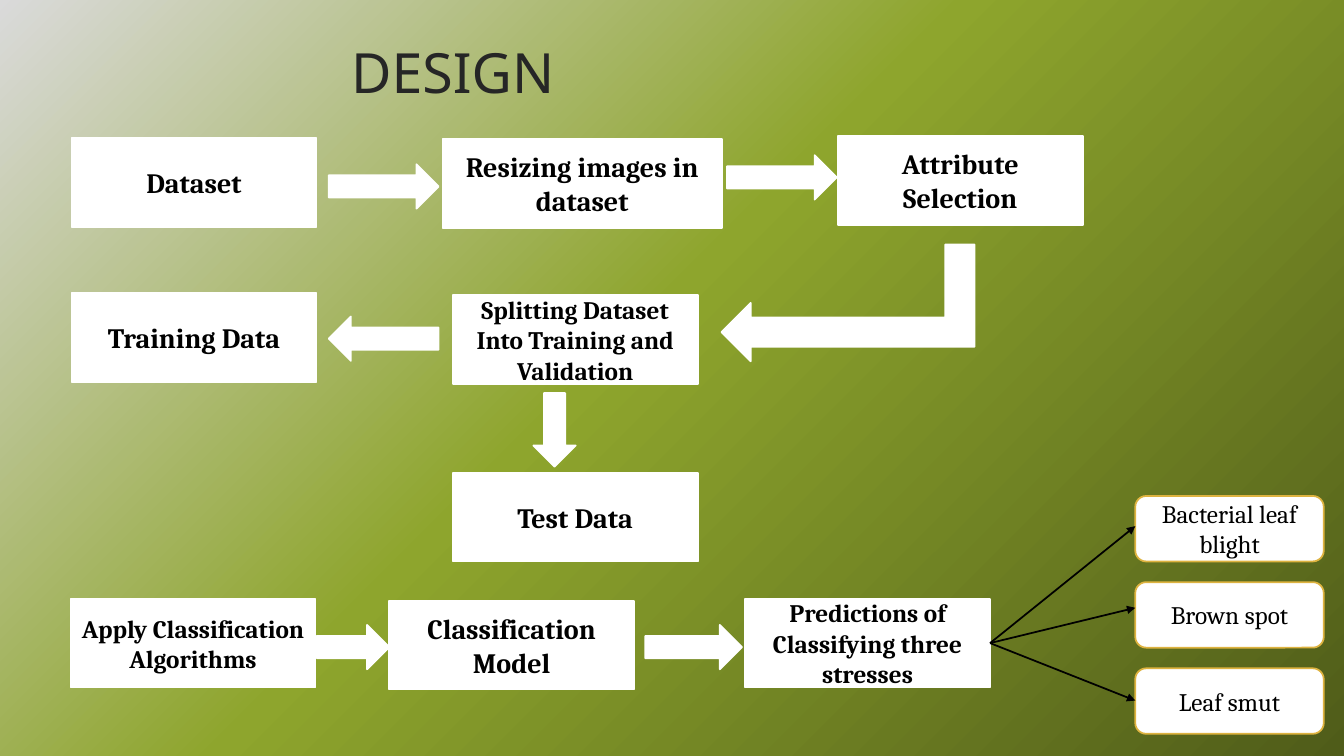
from lxml import etree
from pptx import Presentation
from pptx.dml.color import RGBColor
from pptx.enum.shapes import MSO_CONNECTOR, MSO_SHAPE
from pptx.enum.text import MSO_ANCHOR, PP_ALIGN
from pptx.oxml.ns import qn
from pptx.util import Inches, Pt

RECTANGLE = MSO_SHAPE.RECTANGLE
ROUNDED = MSO_SHAPE.ROUNDED_RECTANGLE
RIGHT, LEFT = MSO_SHAPE.RIGHT_ARROW, MSO_SHAPE.LEFT_ARROW
DOWN, BENT = MSO_SHAPE.DOWN_ARROW, MSO_SHAPE.BENT_UP_ARROW
STRAIGHT = MSO_CONNECTOR.STRAIGHT
CENTER, MIDDLE = PP_ALIGN.CENTER, MSO_ANCHOR.MIDDLE

WHITE = RGBColor(0xFF, 0xFF, 0xFF)
BLACK = RGBColor(0x00, 0x00, 0x00)
CHARCOAL = RGBColor(0x26, 0x26, 0x26)
GOLD = RGBColor(0xDE, 0xB3, 0x40)

# Content
TITLE = "DESIGN"
BACKGROUND_STOPS = [(0, "DADADA"), (46, "8EA52D"), (100, "4F5C19")]
BOX_WIDTH, BOX_HEIGHT = 2.43, 0.88
STEPS = [  # text, left, top, width, font size
    ("Dataset", 0.71, 1.37, BOX_WIDTH, 20),
    ("Resizing images in dataset", 4.39, 1.38, 2.77, 20),
    ("Attribute Selection", 8.31, 1.35, BOX_WIDTH, 20),
    ("Training Data", 0.71, 2.91, BOX_WIDTH, 20),
    ("Splitting Dataset\nInto Training and Validation", 4.49, 2.93, BOX_WIDTH, 18),
    ("Test Data", 4.49, 4.69, BOX_WIDTH, 20),
    ("Apply Classification Algorithms", 0.7, 5.94, BOX_WIDTH, 18),
    ("Classification Model", 3.86, 5.96, BOX_WIDTH, 20),
    ("Predictions of Classifying three stresses", 7.39, 5.94, BOX_WIDTH, 18),
]
BLOCK_ARROWS = [  # preset, left, top, width, height
    (RIGHT, 3.26, 1.63, 1.09, 0.44),
    (RIGHT, 7.21, 1.54, 1.09, 0.44),
    (LEFT, 3.26, 3.14, 1.09, 0.44),
    (DOWN, 5.29, 3.9, 0.42, 0.73),
    (RIGHT, 3.14, 6.2, 0.72, 0.44),
    (RIGHT, 6.4, 6.2, 0.96, 0.44),
]
BENT_ARROW = (BENT, 7.83, 1.75, 1.16, 2.51)
STRESSES = [  # text, height at which its arrow ends
    ("Bacterial leaf blight", 5.22),
    ("Brown spot", 6.03),
    ("Leaf smut", 6.95),
]
STRESS_LEFT, STRESS_TOP, STRESS_PITCH = 11.26, 4.92, 0.855
STRESS_WIDTH, STRESS_HEIGHT = 1.87, 0.65
FAN_START = (9.82, 6.38)


def write_text(shape, text, size, font="Cambria", color=BLACK, bold=False):
    frame = shape.text_frame
    frame.word_wrap = True
    frame.vertical_anchor = MIDDLE
    frame.text = text
    for paragraph in frame.paragraphs:
        paragraph.alignment = CENTER
        run_font = paragraph.runs[0].font
        run_font.name, run_font.size, run_font.bold = font, Pt(size), bold
        run_font.color.rgb = color


def add_block(slide, preset, left, top, width, height, outline=WHITE):
    shape = slide.shapes.add_shape(
        preset, Inches(left), Inches(top), Inches(width), Inches(height))
    shape.shadow.inherit = False
    shape.fill.solid()
    shape.fill.fore_color.rgb = WHITE
    shape.line.color.rgb = outline
    shape.line.width = Pt(1.25)
    return shape


def add_thin_arrow(slide, start, end):
    connector = slide.shapes.add_connector(
        STRAIGHT, *(Inches(value) for value in start + end))
    connector.line.color.rgb = BLACK
    connector.line.width = Pt(1.25)
    properties = connector.element.spPr
    line = properties.find(qn("a:ln"))
    etree.SubElement(line, qn("a:tailEnd"), type="triangle")
    etree.SubElement(properties, qn("a:effectLst"))


def paint_background(slide):
    fill = slide.background.fill
    fill.gradient()
    fill.gradient_angle = 315  # counter-clockwise: top left to bottom right
    stops = slide.element.find(".//" + qn("a:gsLst"))
    for stop in list(stops):
        stops.remove(stop)
    for percent, color in BACKGROUND_STOPS:
        stop = etree.SubElement(stops, qn("a:gs"), pos=str(percent * 1000))
        etree.SubElement(stop, qn("a:srgbClr"), val=color)


def main():
    presentation = Presentation()
    presentation.slide_width = Inches(13.33)
    presentation.slide_height = Inches(7.5)
    slide = presentation.slides.add_slide(presentation.slide_layouts[6])
    paint_background(slide)

    # Title
    title = slide.shapes.add_textbox(
        Inches(0.38), Inches(0.35), Inches(8.22), Inches(0.71))
    write_text(title, TITLE, 39.6, font="Noto Sans", color=CHARCOAL)

    # Process steps
    for text, left, top, width, size in STEPS:
        box = add_block(slide, RECTANGLE, left, top, width, BOX_HEIGHT)
        write_text(box, text, size, bold=True)

    # Block arrows
    for arrow in BLOCK_ARROWS:
        add_block(slide, *arrow)
    bent_arrow = add_block(slide, *BENT_ARROW)
    bent_arrow.rotation = 270
    bent_arrow.element.spPr.find(qn("a:xfrm")).set("flipH", "1")

    # Predicted stresses
    for index, (text, arrow_end) in enumerate(STRESSES):
        box = add_block(slide, ROUNDED, STRESS_LEFT, STRESS_TOP + index * STRESS_PITCH,
                        STRESS_WIDTH, STRESS_HEIGHT, outline=GOLD)
        write_text(box, text, 18)
        add_thin_arrow(slide, FAN_START, (STRESS_LEFT, arrow_end))

    presentation.save("out.pptx")


if __name__ == "__main__":
    main()
